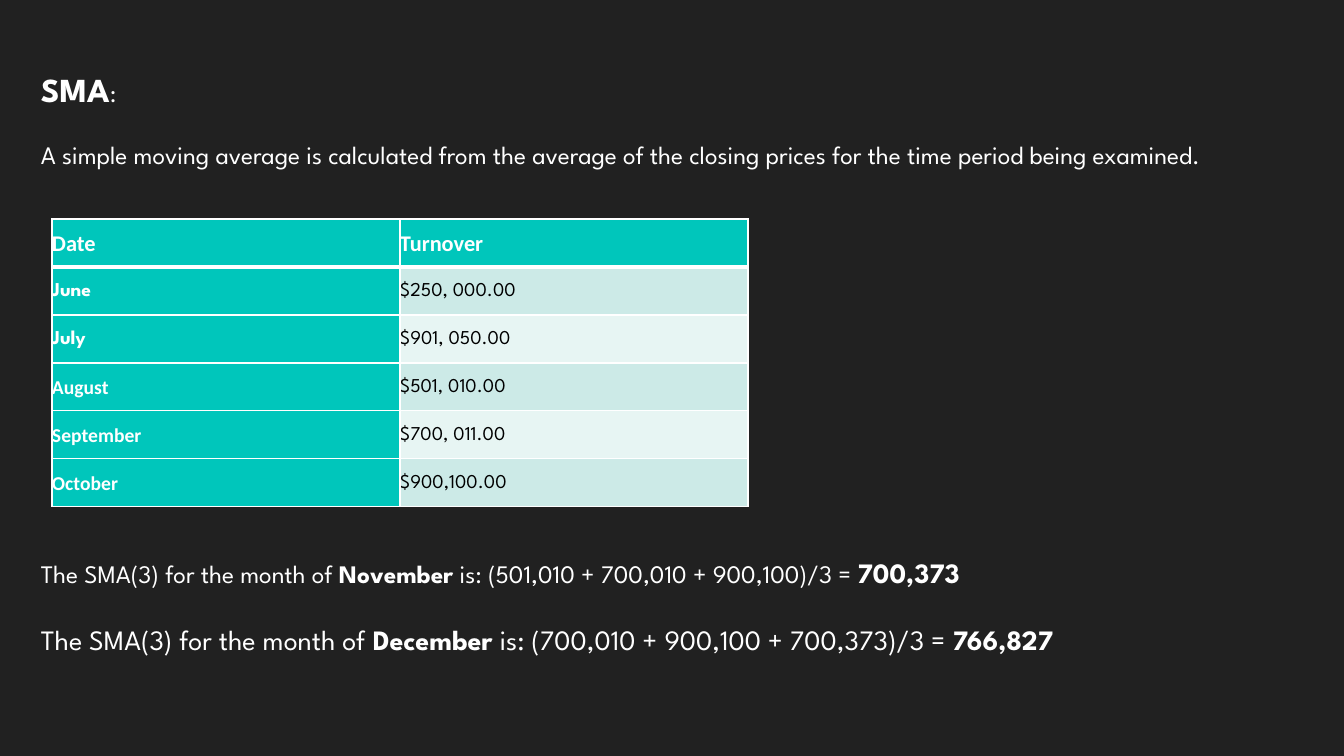
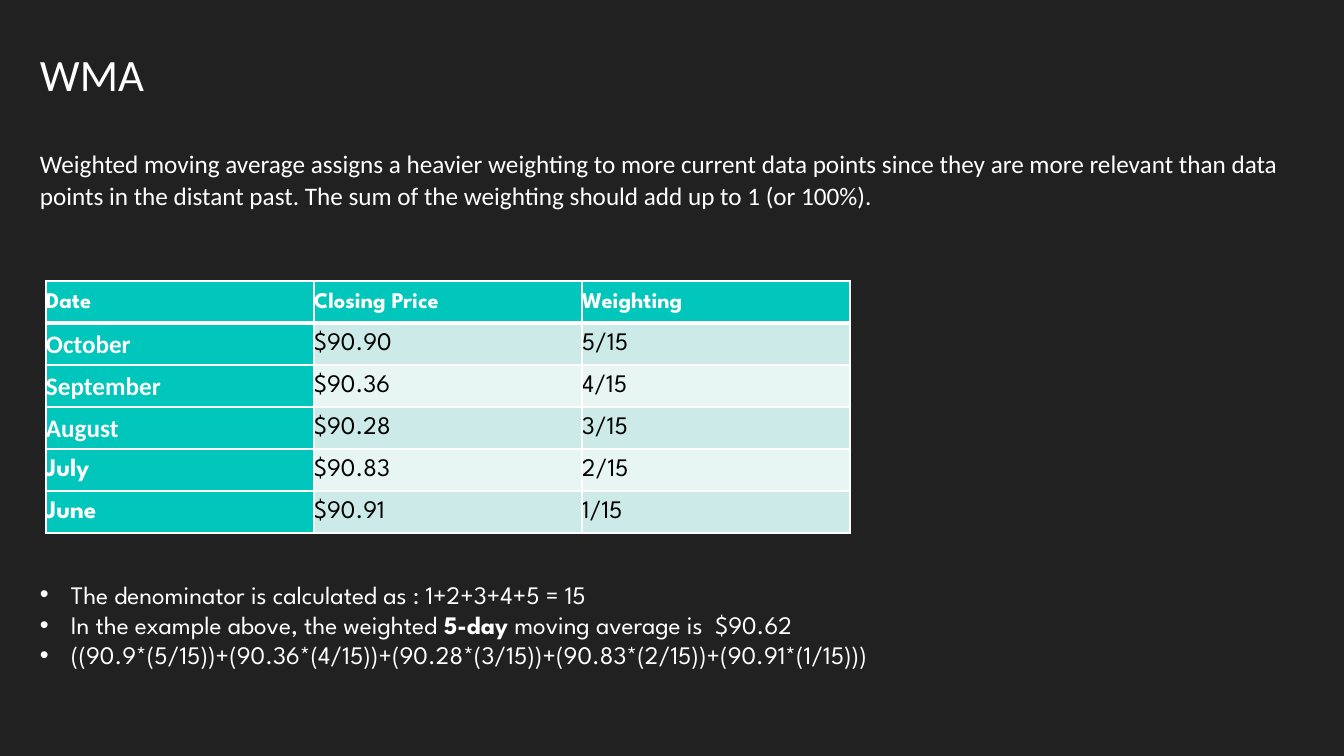
import pptx
import pptx.dml.color
import pptx.enum.text
import pptx.oxml.ns
import pptx.util
from lxml import etree

SLIDE_W, SLIDE_H = 1344, 756
EMU_PER_PX = 12192000 / SLIDE_W

DARK = pptx.dml.color.RGBColor(0x21, 0x21, 0x21)
WHITE = pptx.dml.color.RGBColor(0xFF, 0xFF, 0xFF)
BLACK = pptx.dml.color.RGBColor(0, 0, 0)
TEAL = pptx.dml.color.RGBColor(0x00, 0xC6, 0xBB)
BANDS = (pptx.dml.color.RGBColor(0xCC, 0xEA, 0xE7),
         pptx.dml.color.RGBColor(0xE7, 0xF5, 0xF3))

SPARTAN = "League Spartan"
CALIBRI = "Calibri"
SPARTAN_MONTHS = ("June", "July")
TABLE_LINE_SPACING = 1.07


def px(length):
    return pptx.util.Emu(round(length * EMU_PER_PX))


def add_run(paragraph, text, size, bold=False, face=SPARTAN, color=WHITE):
    run = paragraph.add_run()
    run.text = text
    run.font.size = pptx.util.Pt(size)
    run.font.bold = bold
    run.font.name = face
    run.font.color.rgb = color


def add_text(slide, box, paragraphs, face=SPARTAN, gap=0, line_spacing=None, top_inset=5):
    """Place paragraphs, each a list of (text, size, bold) runs, gap points apart."""
    frame = slide.shapes.add_textbox(*map(px, box)).text_frame
    frame.word_wrap = True
    frame.margin_top = px(top_inset)
    for index, runs in enumerate(paragraphs):
        paragraph = frame.add_paragraph() if index else frame.paragraphs[0]
        if index and gap:
            paragraph.space_before = pptx.util.Pt(gap)
        if line_spacing:
            paragraph.line_spacing = line_spacing
        for text, size, bold in runs:
            add_run(paragraph, text, size, bold, face)
    return frame


def add_bullets(frame, indent):
    for paragraph in frame.paragraphs:
        properties = paragraph._p.get_or_add_pPr()
        properties.set("marL", str(px(indent)))
        properties.set("indent", str(-px(indent)))
        for tag, attribute, value in (("a:buFont", "typeface", "Arial"),
                                      ("a:buChar", "char", "•")):
            bullet = etree.SubElement(properties, pptx.oxml.ns.qn(tag))
            bullet.set(attribute, value)


def add_borders(cell, top, bottom):
    """Draw white cell borders; widths are in points, the sides 1 point."""
    properties = cell._tc.get_or_add_tcPr()
    for side, width in (("L", 1), ("R", 1), ("T", top), ("B", bottom)):
        line = etree.SubElement(properties, pptx.oxml.ns.qn("a:ln" + side))
        line.set("w", str(pptx.util.Pt(width)))
        fill = etree.SubElement(line, pptx.oxml.ns.qn("a:solidFill"))
        etree.SubElement(fill, pptx.oxml.ns.qn("a:srgbClr")).set("val", str(WHITE))


def add_month_table(slide, left, top, column_width, row_height, rows, header_face, body_size):
    """Place a table with a teal header row and a teal column of months."""
    columns = len(rows[0])
    table = slide.shapes.add_table(
        len(rows), columns, px(left), px(top),
        px(column_width * columns), px(row_height * len(rows))).table
    for column in table.columns:
        column.width = px(column_width)
    for r, values in enumerate(rows):
        table.rows[r].height = px(row_height)
        for c, value in enumerate(values):
            is_header, is_label = r == 0, r == 0 or c == 0
            if is_header:
                face = header_face
            else:
                face = SPARTAN if c or value in SPARTAN_MONTHS else CALIBRI
            cell = table.cell(r, c)
            add_borders(cell, 3 if r == 1 else 1, 3 if is_header else 1)
            cell.fill.solid()
            cell.fill.fore_color.rgb = TEAL if is_label else BANDS[(r - 1) % 2]
            cell.margin_left = cell.margin_right = cell.margin_top = cell.margin_bottom = 0
            cell.vertical_anchor = pptx.enum.text.MSO_ANCHOR.MIDDLE
            paragraph = cell.text_frame.paragraphs[0]
            paragraph.line_spacing = TABLE_LINE_SPACING
            paragraph.space_after = pptx.util.Pt(8)
            add_run(paragraph, value, 16 if is_header else body_size, is_label,
                    face, WHITE if is_label else BLACK)


def build_sma(slide):
    add_text(slide, (31, 34, 1295, 234), [
        [("SMA", 24, True), (":", 18, False)],
        [("A simple moving average is calculated from the average of the closing "
          "prices for the time period being examined.", 18, False)],
    ], gap=21.5, top_inset=35)
    add_month_table(slide, 52, 219, 348, 48, [
        ("Date", "Turnover"),
        ("June", "$250, 000.00"),
        ("July", "$901, 050.00"),
        ("August", "$501, 010.00"),
        ("September", "$700, 011.00"),
        ("October", "$900,100.00"),
    ], CALIBRI, 14)
    forecasts = [
        ("November", "501,010 + 700,010 + 900,100", "700,373", 18),
        ("December", "700,010 + 900,100 + 700,373", "766,827", 20),
    ]
    add_text(slide, (31, 551, 1295, 112), [
        [("The SMA(3) for the month of ", size, False), (month, size, True),
         (f" is: ({terms})/3 = ", size, False), (result, 20, True)]
        for month, terms, result, size in forecasts
    ], gap=23.5)


def build_wma(slide):
    add_text(slide, (30, 38, 1281, 316), [
        [("WMA", 32, False)],
        [("Weighted moving average assigns a heavier weighting to more current data "
          "points since they are more relevant than data points in the distant past. "
          "The sum of the weighting should add up to 1 (or 100%).", 18, False)],
    ], face=CALIBRI, gap=32.7, line_spacing=TABLE_LINE_SPACING)
    add_month_table(slide, 46, 281, 268, 42, [
        ("Date", "Closing Price", "Weighting"),
        ("October", "$90.90", "5/15"),
        ("September", "$90.36", "4/15"),
        ("August", "$90.28", "3/15"),
        ("July", "$90.83", "2/15"),
        ("June", "$90.91", "1/15"),
    ], SPARTAN, 18)
    notes = add_text(slide, (30, 574, 1281, 163), [
        [("The denominator is calculated as : 1+2+3+4+5 = 15", 18, False)],
        [("In the example above, the weighted ", 18, False), ("5-day", 18, True),
         (" moving average is  $90.62", 18, False)],
        [("((90.9*(5/15))+(90.36*(4/15))+(90.28*(3/15))+(90.83*(2/15))+(90.91*(1/15)))",
          18, False)],
    ])
    add_bullets(notes, 31)


def main():
    deck = pptx.Presentation()
    deck.slide_width, deck.slide_height = px(SLIDE_W), px(SLIDE_H)
    backdrop = deck.slide_master.background.fill
    backdrop.solid()
    backdrop.fore_color.rgb = DARK
    blank = deck.slide_layouts[6]
    for build in (build_sma, build_wma):
        build(deck.slides.add_slide(blank))
    deck.save("out.pptx")


if __name__ == "__main__":
    main()
